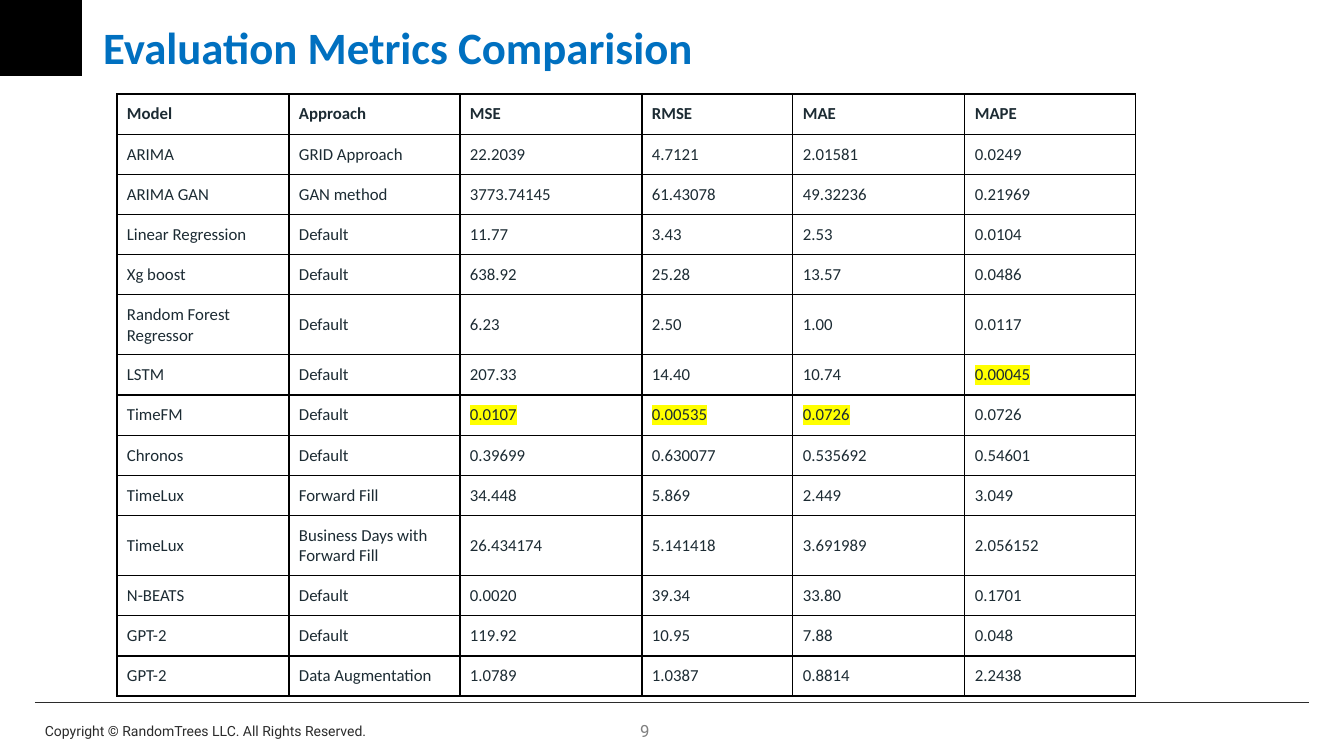
"""Build the slide that compares evaluation metrics of forecasting models."""
from lxml import etree
from pptx import Presentation
from pptx import util as u
from pptx.dml.color import RGBColor
from pptx.enum import shapes, text
from pptx.oxml import ns

SCALE = 914400 / 100.8
INK, BLACK, CELL_INK = "2B2B2B", "000000", "1C2B33"
MARKED = {(6, 5), (7, 2), (7, 3), (7, 4)}
COLUMNS = [172, 171, 182, 151, 172, 171]
ROWS = [
    ["Model", "Approach", "MSE", "RMSE", "MAE", "MAPE"],
    ["ARIMA", "GRID Approach", "22.2039", "4.7121", "2.01581", "0.0249"],
    ["ARIMA GAN", "GAN method", "3773.74145", "61.43078", "49.32236", "0.21969"],
    ["Linear Regression", "Default", "11.77", "3.43", "2.53", "0.0104"],
    ["Xg boost", "Default", "638.92", "25.28", "13.57", "0.0486"],
    ["Random Forest Regressor", "Default", "6.23", "2.50", "1.00", "0.0117"],
    ["LSTM", "Default", "207.33", "14.40", "10.74", "0.00045"],
    ["TimeFM", "Default", "0.0107", "0.00535", "0.0726", "0.0726"],
    ["Chronos", "Default", "0.39699", "0.630077", "0.535692", "0.54601"],
    ["TimeLux", "Forward Fill", "34.448", "5.869", "2.449", "3.049"],
    ["TimeLux", "Business Days with Forward Fill", "26.434174", "5.141418", "3.691989", "2.056152"],
    ["N-BEATS", "Default", "0.0020", "39.34", "33.80", "0.1701"],
    ["GPT-2", "Default", "119.92", "10.95", "7.88", "0.048"],
    ["GPT-2", "Data Augmentation", "1.0789", "1.0387", "0.8814", "2.2438"],
]


def px(*lengths):
    return [u.Emu(round(length * SCALE)) for length in lengths]


def write(frame, words, size, color, font="Calibri", bold=False,
          align=text.PP_ALIGN.LEFT, spacing=1.0, highlight=None):
    para = frame.paragraphs[0]
    para.alignment = align
    para.line_spacing = spacing
    span = para.add_run()
    span.text = words
    span.font.size = u.Pt(size)
    span.font.bold = bold
    span.font.color.rgb = RGBColor.from_string(color)
    if highlight:
        mark = etree.SubElement(span.font._element, ns.qn("a:highlight"))
        etree.SubElement(mark, ns.qn("a:srgbClr"), val=highlight)
    span.font.name = font


deck = Presentation()
deck.slide_width, deck.slide_height = px(1344, 756)
page = deck.slides.add_slide(deck.slide_layouts[5])

corner = page.shapes.add_shape(shapes.MSO_SHAPE.RECTANGLE, *px(-1, -1, 83, 77))
corner.shadow.inherit = False
corner.fill.solid()
corner.fill.fore_color.rgb = RGBColor.from_string(BLACK)
corner.line.fill.background()

rule = page.shapes.add_connector(shapes.MSO_CONNECTOR.STRAIGHT, *px(35, 702, 1309, 702))
rule.line.color.rgb = RGBColor.from_string(INK)
rule.line.width = u.Pt(0.5)
etree.SubElement(rule._element.spPr, ns.qn("a:effectLst"))

for place, words, size, color, align in [
    ((35, 718, 365, 27), "Copyright © RandomTrees LLC. All Rights Reserved.", 10, INK, text.PP_ALIGN.LEFT),
    ((494, 716, 302, 40), "9", 12, "808080", text.PP_ALIGN.CENTER),
]:
    box = page.shapes.add_textbox(*px(*place))
    box.text_frame.word_wrap = True
    write(box.text_frame, words, size, color, font="Roboto", align=align)

title = page.shapes.title
title.left, title.top, title.width, title.height = px(93, 5, 1199, 89)
title.text_frame.vertical_anchor = text.MSO_ANCHOR.MIDDLE
title.text_frame.word_wrap = True
write(title.text_frame, "Evaluation Metrics Comparision", 32, "0070C0", bold=True, spacing=0.9)

heights = [52 if max(map(len, row)) > 20 else 34 for row in ROWS]
grid = page.shapes.add_table(len(ROWS), len(COLUMNS), *px(117, 94, sum(COLUMNS), sum(heights)))
table = grid.table
table.horz_banding = table.first_row = False
for column, width in zip(table.columns, px(*COLUMNS)):
    column.width = width
for row, height in zip(table.rows, px(*heights)):
    row.height = height

for r, row in enumerate(ROWS):
    for c, words in enumerate(row):
        cell = table.cell(r, c)
        cell.vertical_anchor = text.MSO_ANCHOR.MIDDLE
        cell.margin_left, cell.margin_top, cell.margin_right, cell.margin_bottom = px(10, 10, 10, 10)
        properties = cell._tc.get_or_add_tcPr()
        for side in ("lnL", "lnR", "lnT", "lnB"):
            border = etree.SubElement(properties, ns.qn("a:" + side), w=str(u.Pt(1)))
            fill = etree.SubElement(border, ns.qn("a:solidFill"))
            etree.SubElement(fill, ns.qn("a:srgbClr"), val=BLACK)
        cell.fill.background()
        write(cell.text_frame, words, 12, CELL_INK, bold=r == 0,
              highlight="FFFF00" if (r, c) in MARKED else None)

deck.save("out.pptx")
